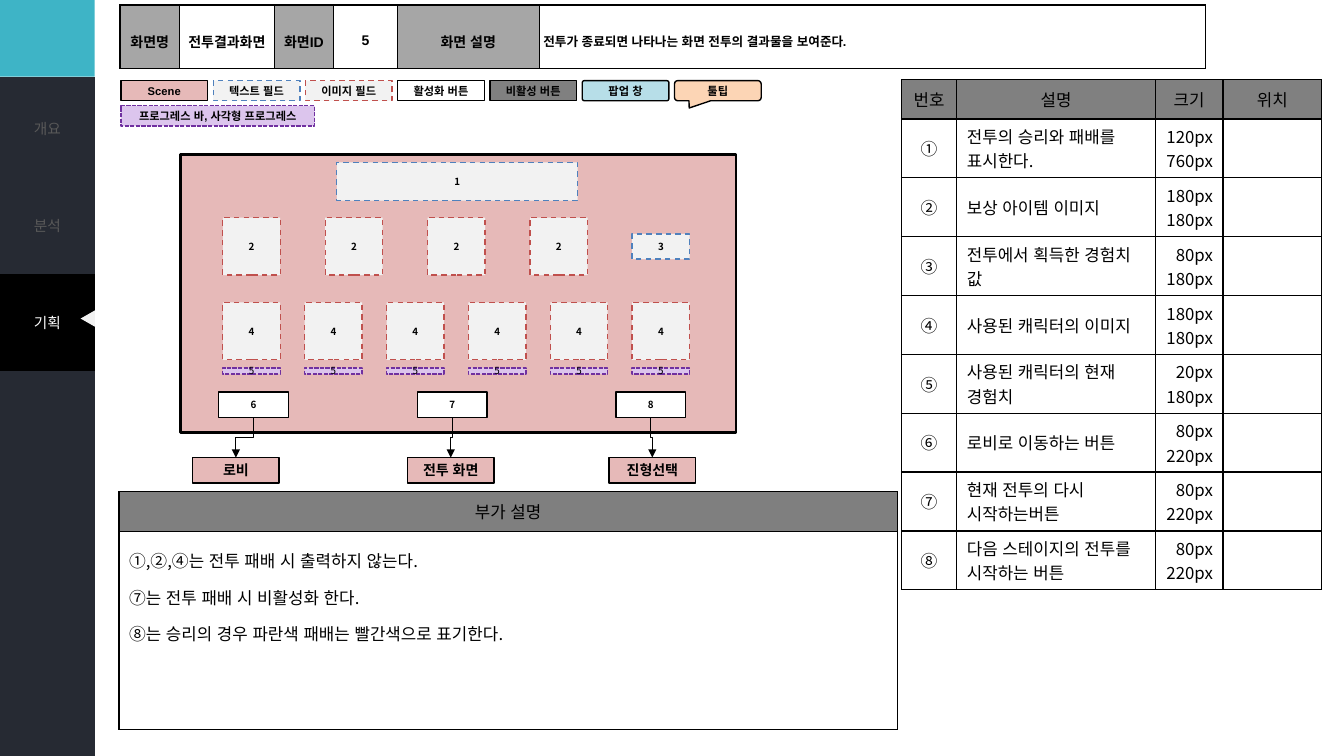
from pptx import Presentation
from pptx.dml.color import RGBColor
from pptx.enum.dml import MSO_LINE as Dash
from pptx.enum.shapes import MSO_CONNECTOR as Conn, MSO_SHAPE as Shape
from pptx.enum.text import MSO_ANCHOR as Anchor, PP_ALIGN as Align
from pptx.oxml.ns import qn
from pptx.util import Inches, Pt
from lxml.etree import SubElement

NOTO, ARIAL = "Noto Sans CJK KR", "Arial"
BLACK, WHITE, PALE = "000000", "FFFFFF", "F2F2F2"
DARK, TEAL, PINK, GRAY = "262A33", "3EB4C6", "E6B9B8", "808080"
RED, BLUE = "C0504D", "4F81BD"
LILAC, PURPLE = "DCC5ED", "7030A0"
TEXT = dict(fill=PALE, line=BLUE, dash=Dash.DASH)
IMAGE = dict(fill=PALE, line=RED, dash=Dash.DASH)
BAR = dict(fill=LILAC, line=PURPLE, dash=Dash.SQUARE_DOT)
NO_STYLE = "{2D5ABB26-0587-4C30-8999-92F81FD0307C}"


def rgb(code):
    return RGBColor.from_string(code)


def style(frame, size, face=NOTO, color=BLACK, bold=False,
          align=Align.CENTER, space=None):
    for para in frame.paragraphs:
        para.alignment = align
        if space:
            para.line_spacing = space
        font = para.font
        font.size, font.name, font.bold = Pt(size), face, bold
        font.color.rgb = rgb(color)
        font._element.set("lang", "ko-KR")
        font._element.set("kern", "0")
        SubElement(font._element, qn("a:ea"), typeface=NOTO)


def box(slide, x, y, w, h, text="", fill=PINK, line=BLACK, width=1, dash=None,
        kind=Shape.RECTANGLE, size=7, face=NOTO, bold=True):
    shape = slide.shapes.add_shape(kind, Inches(x), Inches(y),
                                   Inches(w), Inches(h))
    shape.shadow.inherit = False
    shape.fill.solid()
    shape.fill.fore_color.rgb = rgb(fill)
    if line:
        shape.line.color.rgb = rgb(line)
        shape.line.width = Pt(width)
        if dash:
            shape.line.dash_style = dash
    else:
        shape.line.fill.background()
    if text:
        frame = shape.text_frame
        frame.margin_left = frame.margin_right = 0
        frame.margin_top = frame.margin_bottom = 0
        frame.vertical_anchor = Anchor.MIDDLE
        frame.text = text
        style(frame, size, face, bold=bold)
    return shape


def grid(slide, x, y, cols, rows):
    """Add an unstyled table with the given column widths and row heights."""
    table = slide.shapes.add_table(
        len(rows), len(cols), Inches(x), Inches(y),
        Inches(sum(cols)), Inches(sum(rows))).table
    table.first_row = table.horz_banding = False
    table._tbl.tblPr.find(qn("a:tableStyleId")).text = NO_STYLE
    for col, width in zip(table.columns, cols):
        col.width = Inches(width)
    for row, height in zip(table.rows, rows):
        row.height = Inches(height)
    return table


def fill_cell(cell, text, fill, size, border=1, anchor=Anchor.MIDDLE, **look):
    cell.fill.solid()
    cell.fill.fore_color.rgb = rgb(fill)
    cell.vertical_anchor = anchor
    cell.text = text
    style(cell.text_frame, size, **look)
    if border:
        props = cell._tc.get_or_add_tcPr()
        for i, side in enumerate(("lnL", "lnR", "lnT", "lnB")):
            edge = SubElement(props, qn("a:" + side), w=str(Pt(border)))
            paint = SubElement(edge, qn("a:solidFill"))
            SubElement(paint, qn("a:srgbClr"), val=BLACK)
            props.insert(i, edge)


def menu(slide, x, y, w, names):
    table = grid(slide, x, y, [w], [0.963] * len(names))
    for i, name in enumerate(names):
        here = name == "기획"
        fill_cell(table.cell(i, 0), name, BLACK if here else DARK, 10.5,
                  border=0, color=WHITE if here else "595959")


def sidebar(slide, x, y, w):
    box(slide, x, y, w, 0.76, fill=TEAL, line=None)
    menu(slide, x, y + 0.76, w, [""] * 7)
    menu(slide, x, y + 0.79, w, ["개요", "분석", "기획"] + [""] * 4)
    mark = box(slide, x + w - 0.15, y + 3.09, 0.16, 0.14, fill=PALE,
               line=None, kind=Shape.ISOSCELES_TRIANGLE)
    mark.rotation = 270


def header(slide, x, y):
    texts = ("화면명", "전투결과화면", "화면ID", "5", "화면 설명",
             "전투가 종료되면 나타나는 화면 전투의 결과물을 보여준다.")
    table = grid(slide, x, y, [0.59, 0.94, 0.59, 0.63, 1.41, 6.61], [0.63])
    for i, text in enumerate(texts):
        cell = table.cell(0, i)
        cell.margin_left = cell.margin_right = Inches(0.04)
        cell.margin_top = cell.margin_bottom = Inches(0.04)
        last = i == len(texts) - 1
        fill_cell(cell, text, WHITE if i % 2 else "A6A6A6", 9 if last else 10,
                  face=ARIAL, bold=True, space=1.5,
                  align=Align.LEFT if last else Align.CENTER)


def legend(slide, x, y):
    look = dict(size=8, face=ARIAL)
    keys = (("Scene", {}), ("텍스트 필드", TEXT), ("이미지 필드", IMAGE),
            ("활성화 버튼", dict(fill=WHITE)), ("비활성 버튼", dict(fill=GRAY)),
            ("팝업 창", dict(fill="B7DEE8", kind=Shape.ROUNDED_RECTANGLE)),
            ("툴팁", dict(fill="FCD5B5",
                        kind=Shape.ROUNDED_RECTANGULAR_CALLOUT)))
    for i, (name, paint) in enumerate(keys):
        key = box(slide, x + i * 0.915, y, 0.86, 0.2, name, **paint, **look)
        if name == "팝업 창":
            key.adjustments[0] = 0.11
        elif name == "툴팁":
            key.adjustments[0], key.adjustments[1] = -0.33, 0.86
    box(slide, x, y + 0.25, 1.92, 0.2, "프로그레스 바, 사각형 프로그레스", **BAR, **look)


def arrow(slide, start, end):
    """Lead down from one box to the top of another with a bent arrow."""
    link = slide.shapes.add_connector(Conn.ELBOW, 0, 0, 0, 0)
    link.begin_connect(start, 2)
    link.end_connect(end, 0)
    x1, y1 = start.left + start.width // 2, start.top + start.height
    x2, y2 = end.left + end.width // 2, end.top
    drop, shift = y2 - y1, abs(x2 - x1)
    link.left, link.top = (x1 + x2 - drop) // 2, (y1 + y2 - shift) // 2
    link.width, link.height = drop, shift
    props = link._element.spPr
    right = x2 > x1
    frame = props.find(qn("a:xfrm"))
    frame.set("rot", str((270 if right else 90) * 60000))
    frame.set("flipH", "1" if right else "0")
    frame.set("flipV", "0")
    link.line.color.rgb = rgb(BLACK)
    link.line.width = Pt(0.75)
    SubElement(link.line._get_or_add_ln(), qn("a:tailEnd"), type="triangle")
    SubElement(props, qn("a:effectLst"))


def scene(slide, x, y, w, h):
    box(slide, x, y, w, h, width=2)
    box(slide, x + 1.55, y + 0.08, 2.39, 0.38, "1", **TEXT)
    left, side = x + 0.42, 0.57
    for i in range(4):
        box(slide, left + i * 1.016, y + 0.63, side, side, "2", **IMAGE)
    box(slide, left + 4.06, y + 0.79, side, 0.25, "3", **TEXT)
    for i in range(6):
        at = left + i * 0.812
        box(slide, at, y + 1.47, side, side, "4", **IMAGE)
        box(slide, at, y + 2.12, side, 0.06, "5", bold=False, **BAR)
    goals = (("로비", 0.12), ("전투 화면", 2.25), ("진형선택", 4.25))
    for i, (goal, shift) in enumerate(goals):
        button = box(slide, x + 0.38 + i * 1.97, y + 2.36, 0.69, 0.25,
                     str(6 + i), fill=WHITE)
        target = box(slide, x + shift, y + h + 0.25, 0.86, 0.25, goal, size=10)
        arrow(slide, button, target)


def parts(slide, x, y):
    rows = (("번호", "설명", "크기", "위치"),
            ("①", "전투의 승리와 패배를 표시한다.", "120px\n760px", ""),
            ("②", "보상 아이템 이미지", "180px\n180px", ""),
            ("③", "전투에서 획득한 경험치 값", "80px\n180px", ""),
            ("④", "사용된 캐릭터의 이미지", "180px\n180px", ""),
            ("⑤", "사용된 캐릭터의 현재\n경험치", "20px\n180px", ""),
            ("⑥", "로비로 이동하는 버튼", "80px\n220px", ""),
            ("⑦", "현재 전투의 다시 시작하는버튼", "80px\n220px", ""),
            ("⑧", "다음 스테이지의 전투를 시작하는 버튼", "80px\n220px", ""))
    sides = (Align.CENTER, Align.LEFT, Align.RIGHT, Align.LEFT)
    table = grid(slide, x, y, [0.55, 1.97, 0.67, 0.98], [0.39] + [0.41] * 8)
    for r, row in enumerate(rows):
        for c, text in enumerate(row):
            fill_cell(table.cell(r, c), text, WHITE if r else GRAY, 12,
                      align=sides[c] if r else Align.CENTER)


def notes(slide, x, y, w, h):
    lines = ("①,②,④는 전투 패배 시 출력하지 않는다.",
             "⑦는 전투 패배 시 비활성화 한다.",
             "⑧는 승리의 경우 파란색 패배는 빨간색으로 표기한다.")
    table = grid(slide, x, y, [w], [0.39, h - 0.39])
    fill_cell(table.cell(0, 0), "부가 설명", "7F7F7F", 12)
    fill_cell(table.cell(1, 0), "\n".join(lines), WHITE, 12,
              anchor=Anchor.TOP, align=Align.LEFT, space=1.5)


def main():
    deck = Presentation()
    deck.slide_width, deck.slide_height = Inches(13.33), Inches(7.5)
    slide = deck.slides.add_slide(deck.slide_layouts[6])
    sidebar(slide, 0, 0, 0.94)
    header(slide, 1.19, 0.05)
    parts(slide, 8.94, 0.79)
    notes(slide, 1.18, 4.88, 7.72, 2.36)
    legend(slide, 1.2, 0.8)
    scene(slide, 1.79, 1.53, 5.51, 2.76)
    deck.save("out.pptx")


if __name__ == "__main__":
    main()
